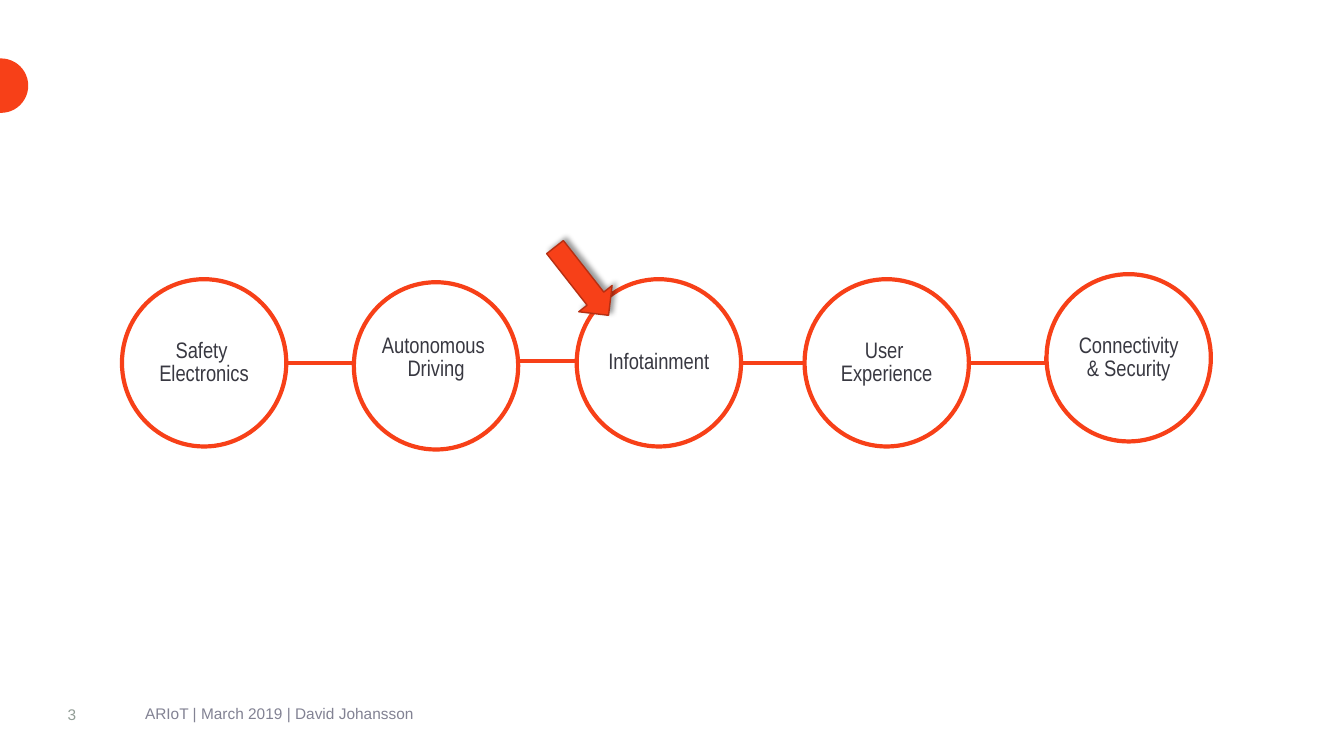
from dataclasses import dataclass

import pptx
import pptx.dml.color
import pptx.enum.shapes
import pptx.enum.text
import pptx.oxml
import pptx.oxml.ns
import pptx.util
from pptx.util import Inches

SHAPE = pptx.enum.shapes.MSO_SHAPE
ANCHOR = pptx.enum.text.MSO_ANCHOR
ALIGN = pptx.enum.text.PP_ALIGN


@dataclass(frozen=True)
class Theme:
    orange: str = "F74018"
    dark_orange: str = "B72F12"
    white: str = "FFFFFF"
    text: str = "383841"
    number: str = "929D96"
    footer: str = "828293"
    label_font: str = "Arial Narrow"
    footer_font: str = "Arial"
    label_size: int = 16
    footer_size: int = 11
    line_width: int = 3


THEME = Theme()
CIRCLE_WIDTH, CIRCLE_HEIGHT = 1.63, 1.66


def rgb(value):
    return pptx.dml.color.RGBColor.from_string(value)


def set_line(line, color, width):
    line.color.rgb = rgb(color)
    line.width = pptx.util.Pt(width)


def add_span(para, text, font, size, color):
    span = para.add_run()
    span.text = text
    span.font.name = font
    span.font.size = pptx.util.Pt(size)
    span.font.color.rgb = rgb(color)


def add_filled(page, kind, left, top, width, height, fill):
    shape = page.shapes.add_shape(
        kind, Inches(left), Inches(top), Inches(width), Inches(height))
    shape.shadow.inherit = False
    shape.fill.solid()
    shape.fill.fore_color.rgb = rgb(fill)
    shape.line.fill.background()
    return shape


def add_circle(page, left, top, lines, bottom_inset=0.05):
    circle = add_filled(page, SHAPE.OVAL, left, top,
                        CIRCLE_WIDTH, CIRCLE_HEIGHT, THEME.white)
    set_line(circle.line, THEME.orange, THEME.line_width)
    frame = circle.text_frame
    frame.word_wrap = False
    frame.vertical_anchor = ANCHOR.MIDDLE
    frame.margin_bottom = Inches(bottom_inset)
    for index, text in enumerate(lines):
        para = frame.add_paragraph() if index else frame.paragraphs[0]
        para.alignment = ALIGN.CENTER
        para.line_spacing = 0.85
        add_span(para, text, THEME.label_font, THEME.label_size, THEME.text)


def add_link(page, start, end, bend=0.5):
    link = page.shapes.add_connector(
        pptx.enum.shapes.MSO_CONNECTOR.ELBOW,
        *(Inches(value) for value in start + end))
    set_line(link.line, THEME.orange, THEME.line_width)
    properties = link._element.spPr
    pptx.oxml.ns.qn("a:effectLst")
    properties.append(pptx.oxml.parse_xml(
        f'<a:effectLst {pptx.oxml.ns.nsdecls("a")}/>'))
    guides = properties.find(pptx.oxml.ns.qn("a:prstGeom")).get_or_add_avLst()
    guides.append(pptx.oxml.parse_xml(
        f'<a:gd {pptx.oxml.ns.nsdecls("a")} name="adj1" '
        f'fmla="val {round(bend * 100000)}"/>'))


def add_pointer(page):
    arrow = add_filled(page, SHAPE.RIGHT_ARROW, 5.34, 2.58, 0.86, 0.42,
                       THEME.orange)
    arrow.rotation = 51.9
    set_line(arrow.line, THEME.dark_orange, 1)
    effects = arrow._element.spPr.find(pptx.oxml.ns.qn("a:effectLst"))
    effects.append(pptx.oxml.parse_xml(
        f'<a:outerShdw {pptx.oxml.ns.nsdecls("a")} '
        f'blurRad="{pptx.util.Pt(4)}" dist="{pptx.util.Pt(3)}" '
        'dir="18900000" rotWithShape="0"><a:srgbClr val="000000">'
        '<a:alpha val="40000"/></a:srgbClr></a:outerShdw>'))


def add_text(page, left, top, width, height, text, color):
    box = page.shapes.add_textbox(
        Inches(left), Inches(top), Inches(width), Inches(height))
    frame = box.text_frame
    frame.word_wrap = True
    add_span(frame.paragraphs[0], text, THEME.footer_font,
             THEME.footer_size, color)
    return frame


def main():
    deck = pptx.Presentation()
    deck.slide_width = Inches(13.33)
    deck.slide_height = Inches(7.5)
    page = deck.slides.add_slide(deck.slide_layouts[6])

    # Edge dot and page number
    add_filled(page, SHAPE.OVAL, -0.26, 0.58, 0.54, 0.54, THEME.orange)
    number = add_text(page, 0.67, 6.92, 0.68, 0.33, "3", THEME.number)
    number.vertical_anchor = ANCHOR.MIDDLE
    number.margin_left = number.margin_right = 0
    number.margin_top = number.margin_bottom = 0

    # Chain of competence areas, links behind the circles they pass
    add_link(page, (5.41, 3.58), (2.83, 3.6))
    add_circle(page, 1.21, 2.77, ["Safety ", "Electronics"])
    add_circle(page, 3.51, 2.8, ["Autonomous ", "Driving"], bottom_inset=0.2)
    add_link(page, (5.26, 3.58), (7.98, 3.6))
    add_circle(page, 5.72, 2.77, ["Infotainment"])
    add_circle(page, 7.98, 2.77, ["User ", "Experience"])
    add_circle(page, 10.38, 2.72, ["Connectivity", "& Security"])
    add_link(page, (9.61, 3.6), (10.38, 3.55), bend=0.99)

    # Footer and pointer to the current area
    add_text(page, 1.34, 6.94, 4.26, 0.33,
             "ARIoT | March 2019 | David Johansson", THEME.footer)
    add_pointer(page)

    deck.save("out.pptx")


if __name__ == "__main__":
    main()
